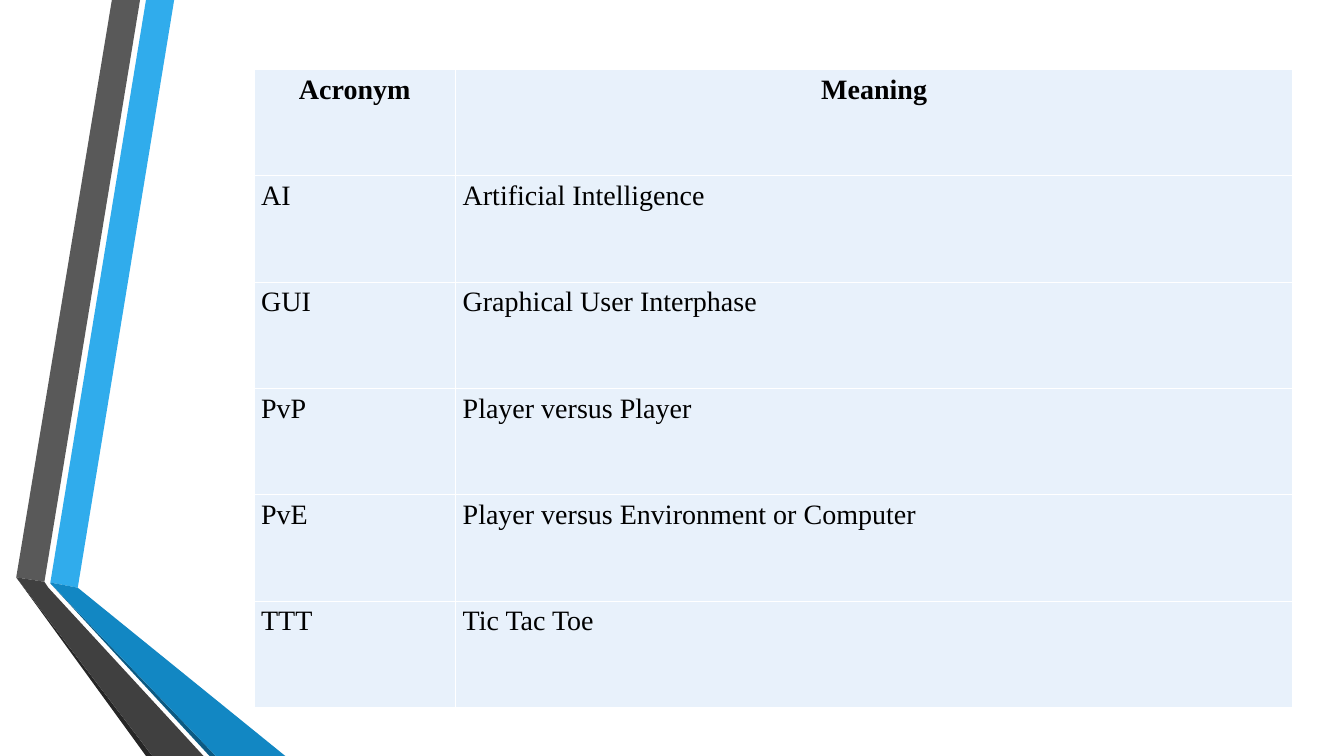
"""Build a slide with a table of acronyms beside a folded ribbon."""
import pptx
import pptx.dml.color
import pptx.enum.text
import pptx.oxml
import pptx.oxml.ns
import pptx.util

Cm, Pt = pptx.util.Cm, pptx.util.Pt
RGB = pptx.dml.color.RGBColor.from_string

ROWS = [
    ("Acronym", "Meaning"),
    ("AI", "Artificial Intelligence"),
    ("GUI", "Graphical User Interphase"),
    ("PvP", "Player versus Player"),
    ("PvE", "Player versus Environment or Computer"),
    ("TTT", "Tic Tac Toe"),
]
BANDS = [
    ("sky", [(1.27, 14.68), (1.96, 14.81), (4.39, 0), (3.68, 0)]),
    ("gray", [(3.53, 0), (2.82, 0), (0.41, 14.55), (1.12, 14.66)]),
    ("black", [(0.41, 14.55), (3.68, 19.05), (3.84, 19.05)]),
    ("navy", [(1.27, 14.7), (5.28, 19.05), (5.44, 19.05)]),
    ("blue", [(1.27, 14.7), (5.44, 19.05), (7.19, 19.05), (1.96, 14.81), (1.27, 14.68)]),
    ("dark", [(5.13, 19.05), (1.22, 14.81), (1.12, 14.66), (0.41, 14.55), (3.84, 19.05)]),
]
THEME = {
    "sky": "30ACEC", "gray": "595959", "black": "262626",
    "navy": "0C5A82", "blue": "1287C3", "dark": "404040",
    "cell": "E8F1FB", "rule": "FFFFFF", "text": "000000",
    "font": "Times New Roman", "size": Pt(20), "line": Pt(1),
}
LEFT, TOP, HIGH = 6.4, 1.75, 2.68
WIDTHS = (5.08, 21.1)
ALIGN = pptx.enum.text.PP_ALIGN
INSET = {"margin_left": Cm(0.18), "margin_right": Cm(0.18),
         "margin_top": 0, "margin_bottom": 0}
PARA = {"line_spacing": 1.15, "space_after": Pt(10)}
FONT = {"name": THEME["font"], "size": THEME["size"]}


def put(item, values):
    for name, value in values.items():
        setattr(item, name, value)


def paint(item, color):
    item.fill.solid()
    item.fill.fore_color.rgb = RGB(THEME[color])


def draw_band(slide, color, points):
    spots = [(Cm(x), Cm(y)) for x, y in points]
    pen = slide.shapes.build_freeform(*spots[0], scale=1.0)
    pen.add_line_segments(spots[1:], close=True)
    band = pen.convert_to_shape()
    paint(band, color)
    band.line.fill.background()
    band.shadow.inherit = False


def add_rules(cell):
    props = cell._tc.get_or_add_tcPr()
    for spot, side in enumerate("LRTB"):
        rule = pptx.oxml.parse_xml(
            f'<a:ln{side} {pptx.oxml.ns.nsdecls("a")} w="{THEME["line"]}"><a:solidFill>'
            f'<a:srgbClr val="{THEME["rule"]}"/></a:solidFill></a:ln{side}>')
        props.insert(spot, rule)


def fill_cell(cell, text, head):
    put(cell, INSET)
    paint(cell, "cell")
    add_rules(cell)
    cell.text = text
    para = cell.text_frame.paragraphs[0]
    put(para, PARA | {"alignment": ALIGN.CENTER if head else ALIGN.LEFT})
    font = para.runs[0].font
    put(font, FONT | {"bold": head})
    font.color.rgb = RGB(THEME["text"])


def add_grid(slide):
    grid = slide.shapes.add_table(
        len(ROWS), len(WIDTHS), Cm(LEFT), Cm(TOP),
        Cm(sum(WIDTHS)), Cm(HIGH * len(ROWS))).table
    grid.horz_banding = False
    for col, width in zip(grid.columns, WIDTHS):
        col.width = Cm(width)
    for r, row in enumerate(ROWS):
        grid.rows[r].height = Cm(HIGH)
        for c, text in enumerate(row):
            fill_cell(grid.cell(r, c), text, r == 0)


def main():
    deck = pptx.Presentation()
    put(deck, {"slide_width": Cm(33.87), "slide_height": Cm(19.05)})
    slide = deck.slides.add_slide(deck.slide_layouts[6])
    for color, points in BANDS:
        draw_band(slide, color, points)
    add_grid(slide)
    deck.save("out.pptx")


if __name__ == "__main__":
    main()
